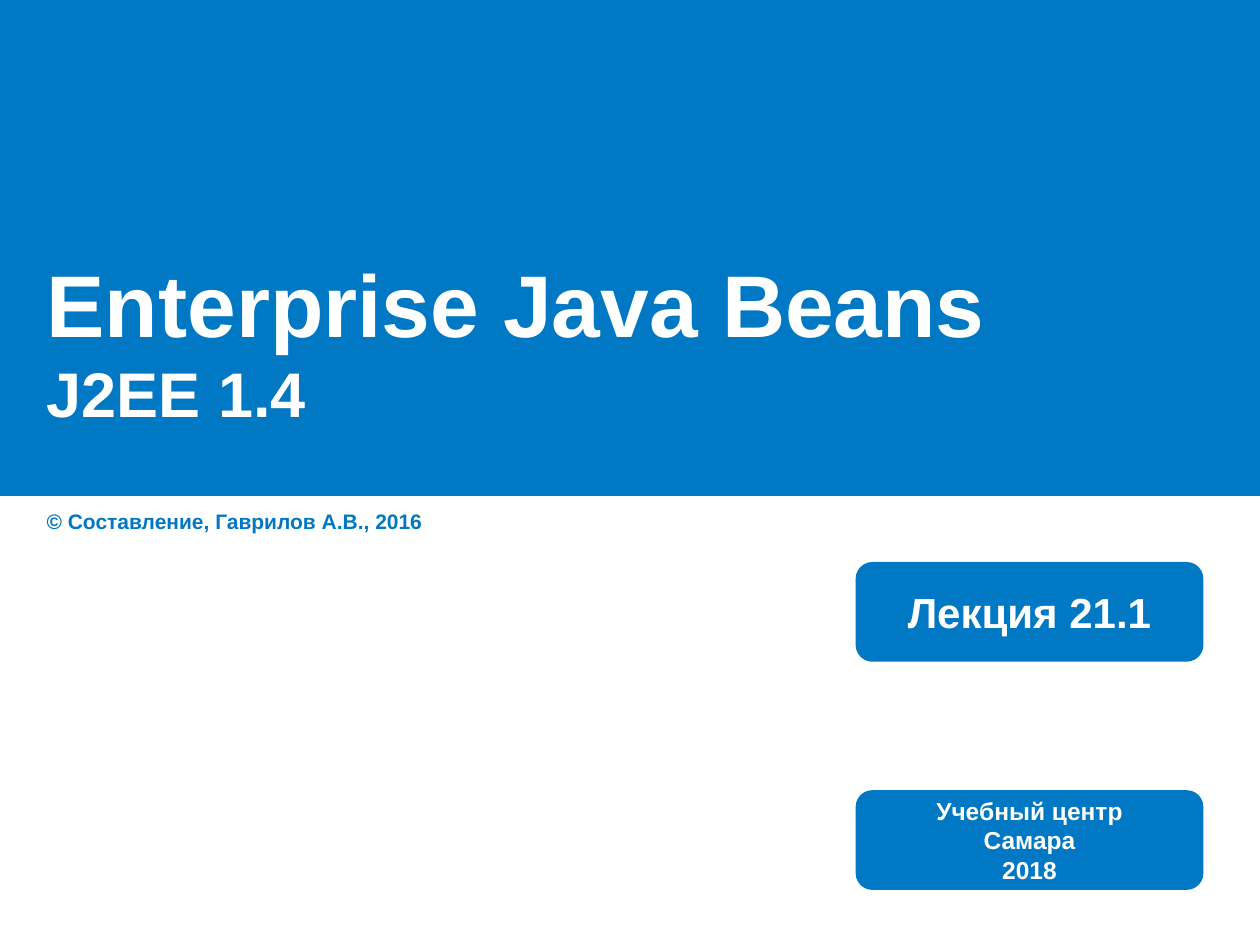
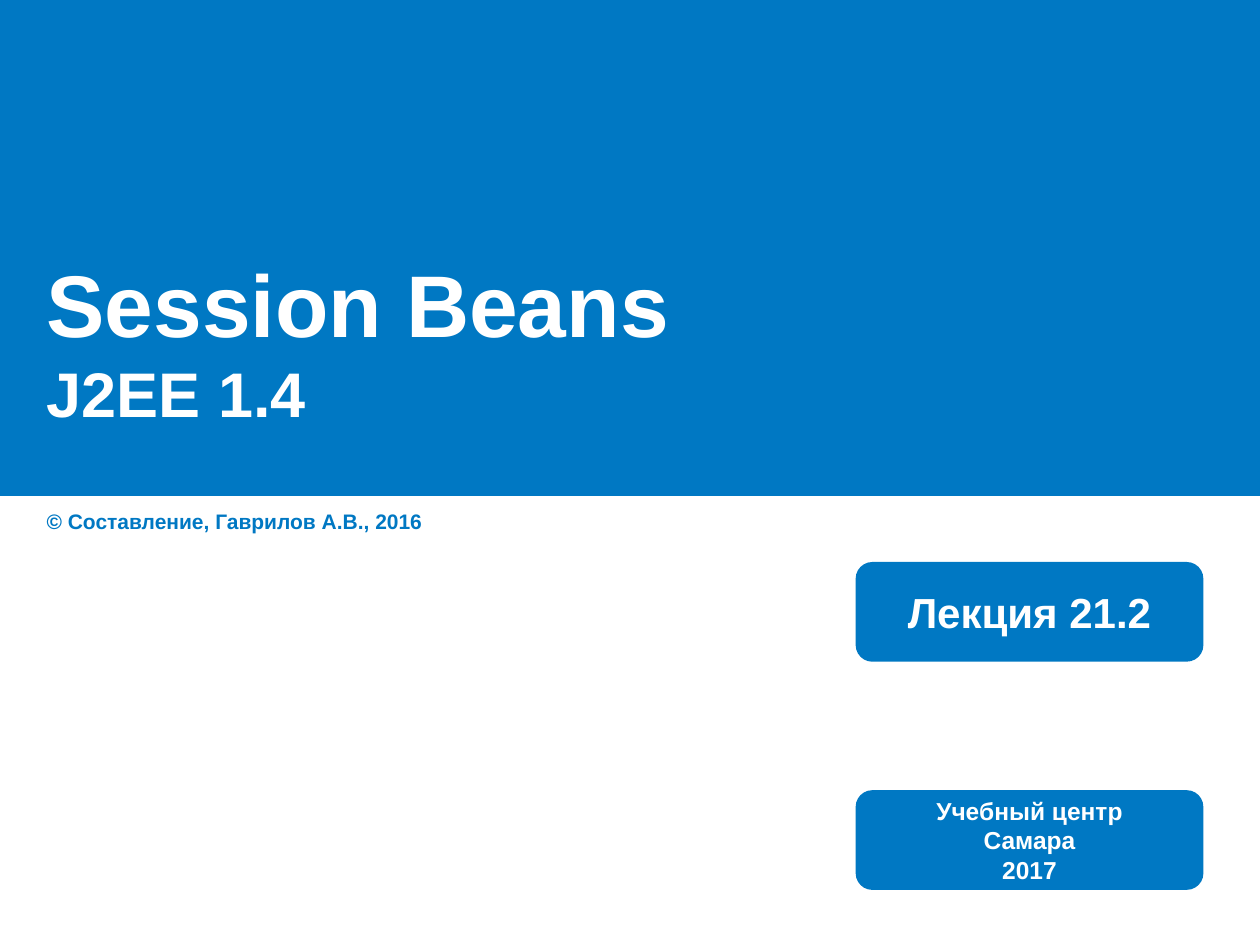
from pptx import Presentation
from pptx.dml.color import RGBColor
from pptx.enum.shapes import MSO_SHAPE
from pptx.enum.text import MSO_ANCHOR, MSO_AUTO_SIZE, PP_ALIGN
from pptx.util import Cm, Pt

RECTANGLE = MSO_SHAPE.RECTANGLE
ROUNDED_RECTANGLE = MSO_SHAPE.ROUNDED_RECTANGLE
MIDDLE = MSO_ANCHOR.MIDDLE
FIT_SHAPE = MSO_AUTO_SIZE.SHAPE_TO_FIT_TEXT
CENTER = PP_ALIGN.CENTER

COLORS = {"blue": "0078C3", "white": "FFFFFF"}
FONT = "Arial"
SLIDE_WIDTH, SLIDE_HEIGHT = 25.4, 19.05
TEXT_LEFT = 0.69
BADGE_LEFT, BADGE_WIDTH, BADGE_HEIGHT = 17.25, 7.01, 2.01

LECTURES = [
    ("Enterprise Java Beans", "21.1", "2018"),
    ("Session Beans", "21.2", "2017"),
]


class LectureDeck:
    def __init__(self):
        self.presentation = Presentation()
        self.presentation.slide_width = Cm(SLIDE_WIDTH)
        self.presentation.slide_height = Cm(SLIDE_HEIGHT)
        self.slide = None

    def add_slide(self):
        self.slide = self.presentation.slides.add_slide(self.presentation.slide_layouts[6])

    def format_run(self, run, size, color):
        run.font.name = FONT
        run.font.size = Pt(size)
        run.font.bold = True
        run.font.color.rgb = RGBColor.from_string(COLORS[color])

    def add_blue_shape(self, kind, left, top, width, height):
        shape = self.slide.shapes.add_shape(kind, Cm(left), Cm(top), Cm(width), Cm(height))
        shape.shadow.inherit = False
        shape.fill.solid()
        shape.fill.fore_color.rgb = RGBColor.from_string(COLORS["blue"])
        shape.line.fill.background()
        return shape

    def add_band(self):
        self.add_blue_shape(RECTANGLE, 0, 0, SLIDE_WIDTH, 10)

    def add_text_box(self, text, top, width, height, sizes, color):
        box = self.slide.shapes.add_textbox(Cm(TEXT_LEFT), Cm(top), Cm(width), Cm(height))
        text_frame = box.text_frame
        text_frame.word_wrap = True
        text_frame.text = text
        for run, size in zip(text_frame.paragraphs[0].runs, sizes):
            self.format_run(run, size, color)
        return text_frame

    def add_title(self, title, subtitle):
        text_frame = self.add_text_box(f"{title}\v{subtitle}", 3.78, 24, 6.15, (50, 36), "white")
        text_frame.vertical_anchor = MIDDLE

    def add_copyright(self, text):
        text_frame = self.add_text_box(text, 10.13, 12.4, 0.76, (12,), "blue")
        text_frame.auto_size = FIT_SHAPE

    def add_badge(self, text, top, size):
        badge = self.add_blue_shape(ROUNDED_RECTANGLE, BADGE_LEFT, top, BADGE_WIDTH, BADGE_HEIGHT)
        text_frame = badge.text_frame
        text_frame.word_wrap = False
        text_frame.vertical_anchor = MIDDLE
        text_frame.text = text
        for paragraph in text_frame.paragraphs:
            paragraph.alignment = CENTER
            for run in paragraph.runs:
                self.format_run(run, size, "white")


def main():
    deck = LectureDeck()
    for title, number, year in LECTURES:
        deck.add_slide()
        deck.add_band()
        deck.add_title(title, "J2EE 1.4")
        deck.add_copyright("© Составление, Гаврилов А.В., 2016")
        deck.add_badge(f"Лекция {number}", 11.33, 24)
        deck.add_badge(f"Учебный центр\nСамара\n{year}", 15.93, 14)
    deck.presentation.save("out.pptx")


if __name__ == "__main__":
    main()
